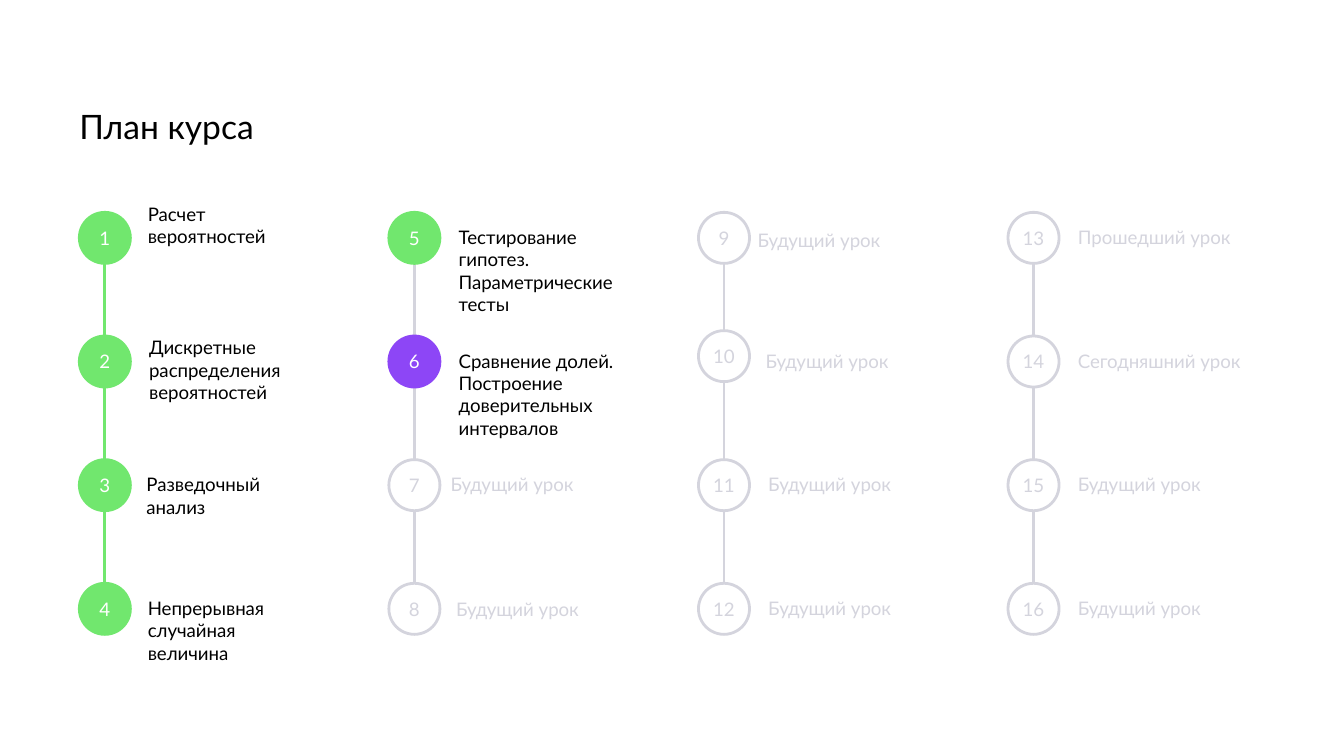
from dataclasses import dataclass

from lxml.etree import SubElement
from pptx import Presentation
from pptx.dml.color import RGBColor
from pptx.enum.shapes import MSO_CONNECTOR as Connector, MSO_SHAPE as Shape
from pptx.enum.text import MSO_ANCHOR as Anchor, MSO_AUTO_SIZE as AutoSize, PP_ALIGN as Align
from pptx.oxml.ns import qn
from pptx.util import Inches, Pt

COLORS = {
    "background": "FFFFFF",
    "text": "000000",
    "done": "71E76E",
    "current": "8D46F6",
    "future": "D4D4DD",
}
FONT = "Lato"
SLIDE_WIDTH = 10
SLIDE_HEIGHT = SLIDE_WIDTH * 9 / 16
MARGIN = 0.59
CONTENT_WIDTH = SLIDE_WIDTH - 2 * MARGIN

# Timeline grid, in inches
COLUMNS, ROWS = 4, 4
GRID_TOP, ROW_STEP = 1.58, 0.92
LAST_COLUMN = 7.5
COLUMN_STEP = (LAST_COLUMN - MARGIN) / (COLUMNS - 1)
CIRCLE = 0.38
LABEL_OFFSET, LABEL_HEIGHT = 0.52, 0.37
LINE_WIDTH = Pt(1.5)


@dataclass
class Lesson:
    title: str = "Будущий урок"
    state: str = "future"
    label_shift: tuple = (0, 0)
    circle_shift: float = 0
    label_width: float = 1.4


LESSONS = [
    Lesson("Расчет вероятностей", "done", (-0.01, -0.17)),
    Lesson("Дискретные распределения вероятностей", "done", (0, -0.1)),
    Lesson("Разведочный анализ", "done", (-0.02, 0)),
    Lesson("Непрерывная случайная величина", "done", (-0.01, 0), label_width=1.33),
    Lesson("Тестирование гипотез. Параметрические тесты", "done"),
    Lesson("Сравнение долей. Построение доверительных интервалов", "current"),
    Lesson(label_shift=(-0.06, 0)),
    Lesson(label_shift=(-0.02, 0.01)),
    Lesson(label_shift=(-0.08, 0.02)),
    Lesson(label_shift=(-0.02, 0), circle_shift=-0.04),
    Lesson(),
    Lesson(),
    Lesson("Прошедший урок"),
    Lesson("Сегодняшний урок"),
    Lesson(),
    Lesson(),
]


def color(name):
    return RGBColor.from_string(COLORS[name])


def write(shape, text, size, color_name, align=Align.LEFT, anchor=Anchor.TOP, insets=(0, 0, 0, 0)):
    frame = shape.text_frame
    frame.word_wrap = True
    frame.auto_size = AutoSize.NONE
    frame.vertical_anchor = anchor
    frame.margin_left, frame.margin_top, frame.margin_right, frame.margin_bottom = map(Inches, insets)
    paragraph = frame.paragraphs[0]
    paragraph.alignment = align
    run = paragraph.add_run()
    run.text = text
    run.font.name = FONT
    run.font.size = Pt(size)
    run.font.color.rgb = color(color_name)


def add_title(slide, left, top, width, height):
    title = slide.shapes.title
    title.left, title.top, title.width, title.height = map(Inches, (left, top, width, height))
    write(title, "План курса", 18, "text")


def add_link(slide, x, top, bottom, color_name):
    link = slide.shapes.add_connector(
        Connector.STRAIGHT, Inches(x), Inches(top), Inches(x), Inches(bottom))
    link.line.color.rgb = color(color_name)
    link.line.width = LINE_WIDTH
    SubElement(link._element.spPr, qn("a:effectLst"))


def add_circle(slide, left, top, number, state):
    circle = slide.shapes.add_shape(
        Shape.OVAL, Inches(left), Inches(top), Inches(CIRCLE), Inches(CIRCLE))
    circle.shadow.inherit = False
    is_future = state == "future"
    circle.fill.solid()
    circle.fill.fore_color.rgb = color("background" if is_future else state)
    circle.line.color.rgb = color(state)
    circle.line.width = LINE_WIDTH
    write(circle, str(number), 10, "future" if is_future else "background",
          Align.CENTER, Anchor.MIDDLE)


def add_label(slide, left, top, lesson):
    label = slide.shapes.add_textbox(
        Inches(left), Inches(top), Inches(lesson.label_width), Inches(LABEL_HEIGHT))
    write(label, lesson.title, 10, "future" if lesson.state == "future" else "text",
          insets=(0, 0.1, 0.1, 0.1))


def add_timeline_column(slide, left, top, lessons, first_number):
    row_tops = [top + row * ROW_STEP for row in range(len(lessons))]
    circle_tops = [y + lesson.circle_shift for y, lesson in zip(row_tops, lessons)]

    # Links are green only in a fully completed column
    finished = all(lesson.state == "done" for lesson in lessons)
    for upper, lower in zip(circle_tops, circle_tops[1:]):
        add_link(slide, left + CIRCLE / 2, upper + CIRCLE, lower, "done" if finished else "future")

    # Numbered circles with lesson names
    for index, lesson in enumerate(lessons):
        shift_x, shift_y = lesson.label_shift
        add_circle(slide, left, circle_tops[index], first_number + index, lesson.state)
        add_label(slide, left + LABEL_OFFSET + shift_x, row_tops[index] + shift_y, lesson)


def main():
    presentation = Presentation()
    presentation.slide_width = Inches(SLIDE_WIDTH)
    presentation.slide_height = Inches(SLIDE_HEIGHT)
    slide = presentation.slides.add_slide(presentation.slide_layouts.get_by_name("Title Only"))
    slide.background.fill.solid()
    slide.background.fill.fore_color.rgb = color("background")

    add_title(slide, MARGIN, 0.79, CONTENT_WIDTH, 0.35)
    for column in range(COLUMNS):
        start = column * ROWS
        add_timeline_column(slide, MARGIN + column * COLUMN_STEP, GRID_TOP,
                            LESSONS[start:start + ROWS], start + 1)

    presentation.save("out.pptx")


if __name__ == "__main__":
    main()
